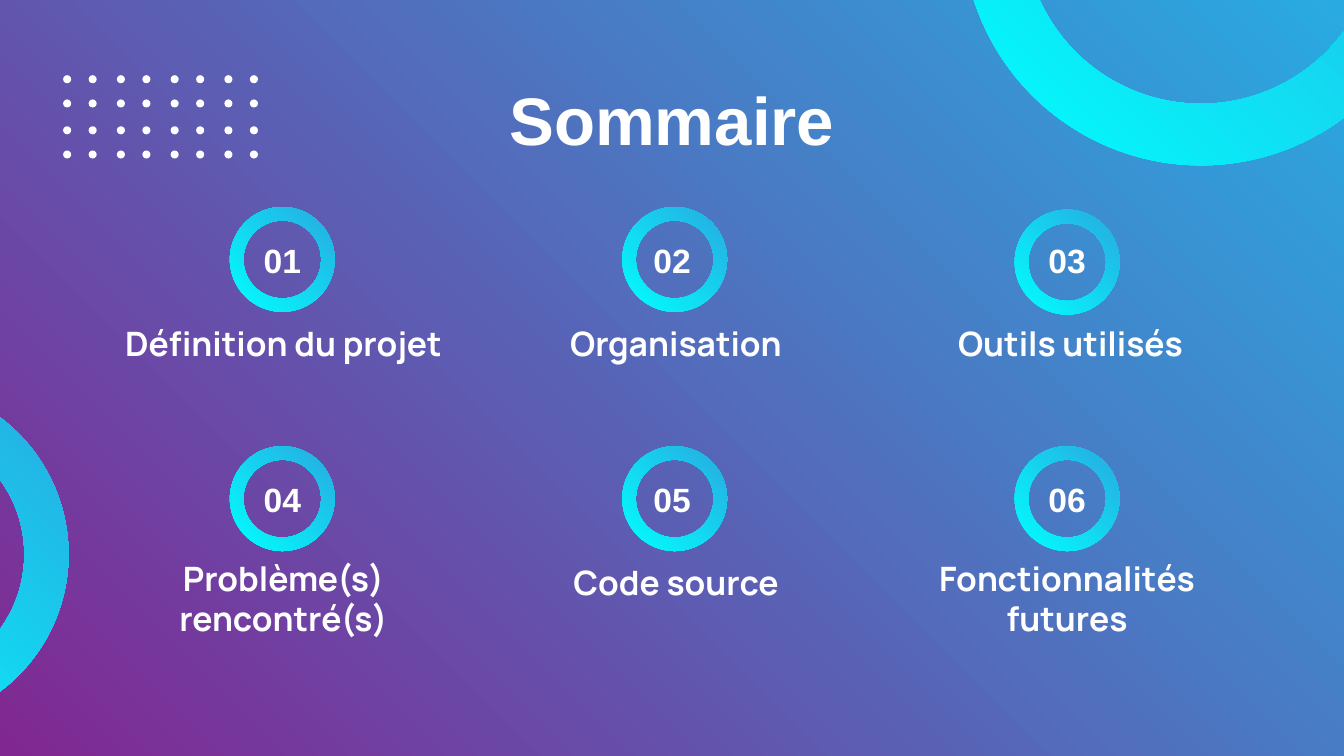
from pptx import Presentation
from pptx import util as u
from pptx.dml.color import RGBColor
from pptx.enum import shapes, text

WHITE = RGBColor(0xFF, 0xFF, 0xFF)
PURPLE = RGBColor(0x81, 0x27, 0x92)
BLUE = RGBColor(0x29, 0xAA, 0xE1)
CYAN = RGBColor(0x00, 0xFF, 0xFF)

TITLE_FONT = {"name": "Arial", "size": u.Pt(36), "bold": True}
NUMBER_FONT = {"name": "Arial", "size": u.Pt(18), "bold": True}
LABEL_FONT = {"name": "Manrope", "size": u.Pt(18), "bold": True}

# Label, then the offsets that differ from the standard cell
TOPICS = [
    ("Définition du projet", {}),
    ("Organisation", {"number_x": 0.53}),
    ("Outils utilisés", {"ring_y": 0.08, "label_x": -0.14, "label_w": 2.95}),
    ("Problème(s) rencontré(s)", {"label_y": 0.9}),
    ("Code source", {"number_x": 0.53}),
    ("Fonctionnalités futures", {"label_x": -0.01, "label_y": 0.9}),
]
CELL = {"number_x": 0.55, "ring_y": 0.06,
        "label_x": 0, "label_y": 0.78, "label_w": 2.64}


def set_gradient(fill, start, end, angle):
    fill.gradient()
    fill.gradient_angle = angle
    for stop, color in zip(fill.gradient_stops, (start, end)):
        stop.color.rgb = color


def write(sp, words, font, anchor=text.MSO_ANCHOR.MIDDLE):
    tf = sp.text_frame
    frame = {"word_wrap": True, "auto_size": text.MSO_AUTO_SIZE.NONE,
             "vertical_anchor": anchor}
    for side in ("left", "right", "top", "bottom"):
        frame["margin_" + side] = u.Inches(0.1)
    for name, value in frame.items():
        setattr(tf, name, value)
    p = tf.paragraphs[0]
    p.alignment = text.PP_ALIGN.CENTER
    r = p.add_run()
    r.text = words
    for name, value in font.items():
        setattr(r.font, name, value)
    r.font.color.rgb = WHITE


def add_label(s, x, y, w, h, words, font):
    sp = s.shapes.add_textbox(*map(u.Inches, (x, y, w, h)))
    write(sp, words, font)


def add_round(s, kind, x, y, size):
    sp = s.shapes.add_shape(kind, *map(u.Inches, (x, y, size, size)))
    sp.shadow.inherit = False
    sp.line.fill.background()
    return sp


def add_ring(s, x, y, size):
    sp = add_round(s, shapes.MSO_SHAPE.DONUT, x, y, size)
    sp.adjustments[0] = 0.129
    sp.rotation = 180
    set_gradient(sp.fill, CYAN, BLUE, 225)


def add_dots(s, x, y):
    # Dots come in pairs, both across and down
    for row in range(4):
        for col in range(8):
            dot = add_round(s, shapes.MSO_SHAPE.OVAL,
                            x + 0.4 * (col // 2) + 0.19 * (col % 2),
                            y + 0.38 * (row // 2) + 0.18 * (row % 2), 0.06)
            dot.fill.solid()
            dot.fill.fore_color.rgb = WHITE


def add_title(s, x, y, w, h):
    sp = s.shapes.title
    box = {"left": x, "top": y, "width": w, "height": h}
    for name, value in box.items():
        setattr(sp, name, u.Inches(value))
    write(sp, "Sommaire", TITLE_FONT, text.MSO_ANCHOR.TOP)


def add_topic(s, x, y, number, label, changes):
    c = {**CELL, **changes}
    add_label(s, x + c["label_x"], y + c["label_y"], c["label_w"], 0.58,
              label, LABEL_FONT)
    add_label(s, x + c["number_x"], y, 1.52, 0.91, f"{number:02d}", NUMBER_FONT)
    add_ring(s, x + 0.92, y + c["ring_y"], 0.78)


def add_topics(s, x, y):
    for i, (label, changes) in enumerate(TOPICS):
        row, col = divmod(i, 3)
        add_topic(s, x + 2.92 * col, y + 1.78 * row, i + 1, label, changes)


def main():
    prs = Presentation()
    # Widescreen, 16:9
    prs.slide_width = u.Inches(10)
    prs.slide_height = prs.slide_width * 9 // 16
    s = prs.slides.add_slide(prs.slide_layouts[5])

    # Background and decoration
    set_gradient(s.background.fill, PURPLE, BLUE, 45)
    add_ring(s, 7.16, -2.32, 3.55)
    add_dots(s, 0.47, 0.56)
    add_ring(s, -2.04, 2.85, 2.55)

    # Title and the grid of topics
    add_title(s, 2.32, 0.48, 5.36, 0.58)
    add_topics(s, 0.79, 1.48)

    prs.save("out.pptx")


if __name__ == "__main__":
    main()
